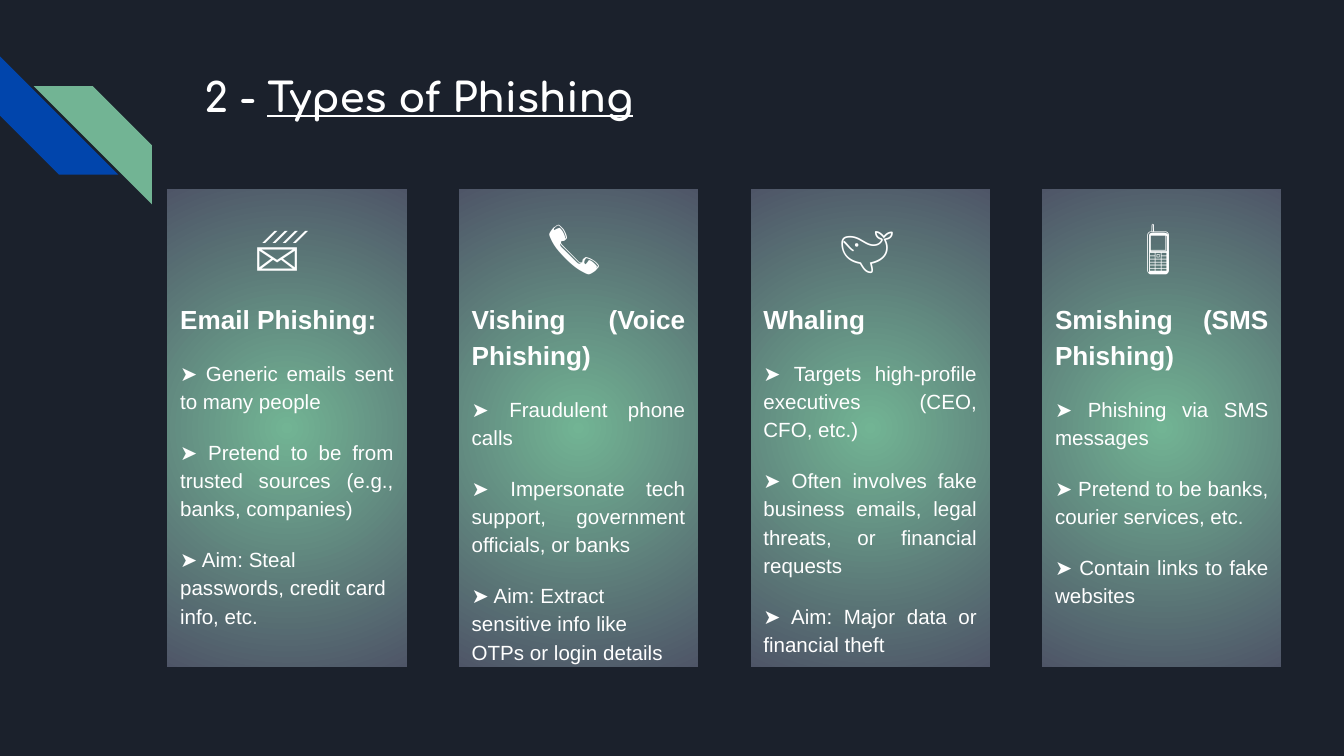
"""Build the "Types of Phishing" slide with four gradient cards."""
from lxml import etree
from pptx import Presentation
from pptx.dml.color import RGBColor
from pptx.enum import shapes, text
from pptx.oxml.ns import qn
from pptx.util import Inches, Pt

THEME = {
    "night": RGBColor.from_string("1B212C"),
    "blue": RGBColor.from_string("0145AC"),
    "green": RGBColor.from_string("72B494"),
    "slate": RGBColor.from_string("4E5567"),
    "white": RGBColor.from_string("FFFFFF"),
    "title_font": "Comfortaa", "body_font": "Arial",
    "title": 21.6, "icon": 29, "heading": 14, "point": 11,
}
TITLE = [("2 - ", False), ("Types of Phishing", True)]
JUSTIFY, LEFT, CENTER = text.PP_ALIGN.JUSTIFY, text.PP_ALIGN.LEFT, text.PP_ALIGN.CENTER
CARDS = [
    ("📨", "heading", "Email Phishing:", [
        "Generic emails sent to many people",
        "Pretend to be from trusted sources (e.g., banks, companies)",
        "Aim: Steal passwords, credit card info, etc."], LEFT),
    ("📞", "heading", "Vishing (Voice Phishing)", [
        "Fraudulent phone calls",
        "Impersonate tech support, government officials, or banks",
        "Aim: Extract sensitive info like OTPs or login details"], LEFT),
    ("🐋", "point", "Whaling", [
        "Targets high-profile executives (CEO, CFO, etc.)",
        "Often involves fake business emails, legal threats, or financial requests",
        "Aim: Major data or financial theft"], JUSTIFY),
    ("📱", "heading", "Smishing (SMS Phishing)", [
        "Phishing via SMS messages",
        "Pretend to be banks, courier services, etc.",
        "Contain links to fake websites"], JUSTIFY),
]
STRIPES = [(0, 0.42, "blue", 270, False), (0.25, 0.64, "green", 0, True)]
STRIPE_SIZE = 0.88
SLIDE_WIDTH = 10
CARD_LEFT, CARD_TOP, CARD_WIDTH, CARD_HEIGHT, CARD_STEP = 1.24, 1.4, 1.79, 3.57, 2.17


def place(holder, left, top, width, height, anchor):
    holder.left, holder.top = Inches(left), Inches(top)
    holder.width, holder.height = Inches(width), Inches(height)
    frame = holder.text_frame
    frame.margin_left = frame.margin_right = Inches(0.1)
    frame.margin_top = frame.margin_bottom = Inches(0.1)
    frame.word_wrap = True
    frame.auto_size = text.MSO_AUTO_SIZE.NONE
    frame.vertical_anchor = anchor
    return frame


def add_run(paragraph, words, font, size, bold, underline=False):
    run = paragraph.add_run()
    run.text = words
    run.font.name, run.font.size = THEME[font], Pt(THEME[size])
    run.font.bold, run.font.underline = bold, underline
    run.font.color.rgb = THEME["white"]


def radial_fill(card):
    card.fill.gradient()
    for stop, color in zip(card.fill.gradient_stops, ("green", "slate")):
        stop.color.rgb = THEME[color]
    gradient = card._element.spPr.find(qn("a:gradFill"))
    gradient.remove(gradient.find(qn("a:lin")))
    circle = etree.SubElement(gradient, qn("a:path"), {"path": "circle"})
    etree.SubElement(circle, qn("a:fillToRect"), dict.fromkeys("ltrb", "50000"))


def fill_card(card, left, icon, space_size, heading, points, last_align):
    frame = place(card, left, CARD_TOP, CARD_WIDTH, CARD_HEIGHT, text.MSO_ANCHOR.TOP)
    radial_fill(card)
    card.line.color.rgb, card.line.width = THEME["night"], Pt(0.75)
    rows = [([(icon, "icon"), (" ", space_size)], CENTER),
            ([(heading, "heading")], JUSTIFY)]
    aligns = [JUSTIFY] * (len(points) - 1) + [last_align]
    rows += [([(f"➤ {point}", "point")], align) for point, align in zip(points, aligns)]
    for number, (runs, align) in enumerate(rows):
        paragraph = frame.add_paragraph() if number else frame.paragraphs[0]
        paragraph.alignment, paragraph.line_spacing = align, 1.15
        paragraph.space_before, paragraph.space_after = Pt(12), Pt(0)
        properties = paragraph._p.get_or_add_pPr()
        properties.set("marL", "0")
        properties.set("indent", "0")
        etree.SubElement(properties, qn("a:buNone"))
        for words, size in runs:
            add_run(paragraph, words, "body_font", size, number < 2)


def add_stripe(slide, left, top, color, rotation, flipped):
    stripe = slide.shapes.add_shape(
        shapes.MSO_SHAPE.DIAGONAL_STRIPE, Inches(left), Inches(top),
        Inches(STRIPE_SIZE), Inches(STRIPE_SIZE))
    stripe.shadow.inherit = False
    stripe.fill.solid()
    stripe.fill.fore_color.rgb = THEME[color]
    stripe.line.fill.background()
    stripe.rotation = rotation
    if flipped:
        stripe._element.spPr.find(qn("a:xfrm")).set("flipH", "1")


def main():
    deck = Presentation()
    deck.slide_width, deck.slide_height = Inches(SLIDE_WIDTH), Inches(SLIDE_WIDTH * 9 / 16)
    slide = deck.slides.add_slide(deck.slide_layouts.get_by_name("Comparison"))
    slide.background.fill.solid()
    slide.background.fill.fore_color.rgb = THEME["night"]
    for stripe in STRIPES:
        add_stripe(slide, *stripe)
    title = place(slide.shapes.title, 1.42, 0.43, 4.15, 0.57, text.MSO_ANCHOR.MIDDLE)
    title.paragraphs[0].alignment = LEFT
    for words, underline in TITLE:
        add_run(title.paragraphs[0], words, "title_font", "title", True, underline)
    bodies = list(slide.placeholders)[1:]
    for column, (body, card) in enumerate(zip(bodies, CARDS)):
        fill_card(body, CARD_LEFT + column * CARD_STEP, *card)
    deck.save("out.pptx")


if __name__ == "__main__":
    main()
